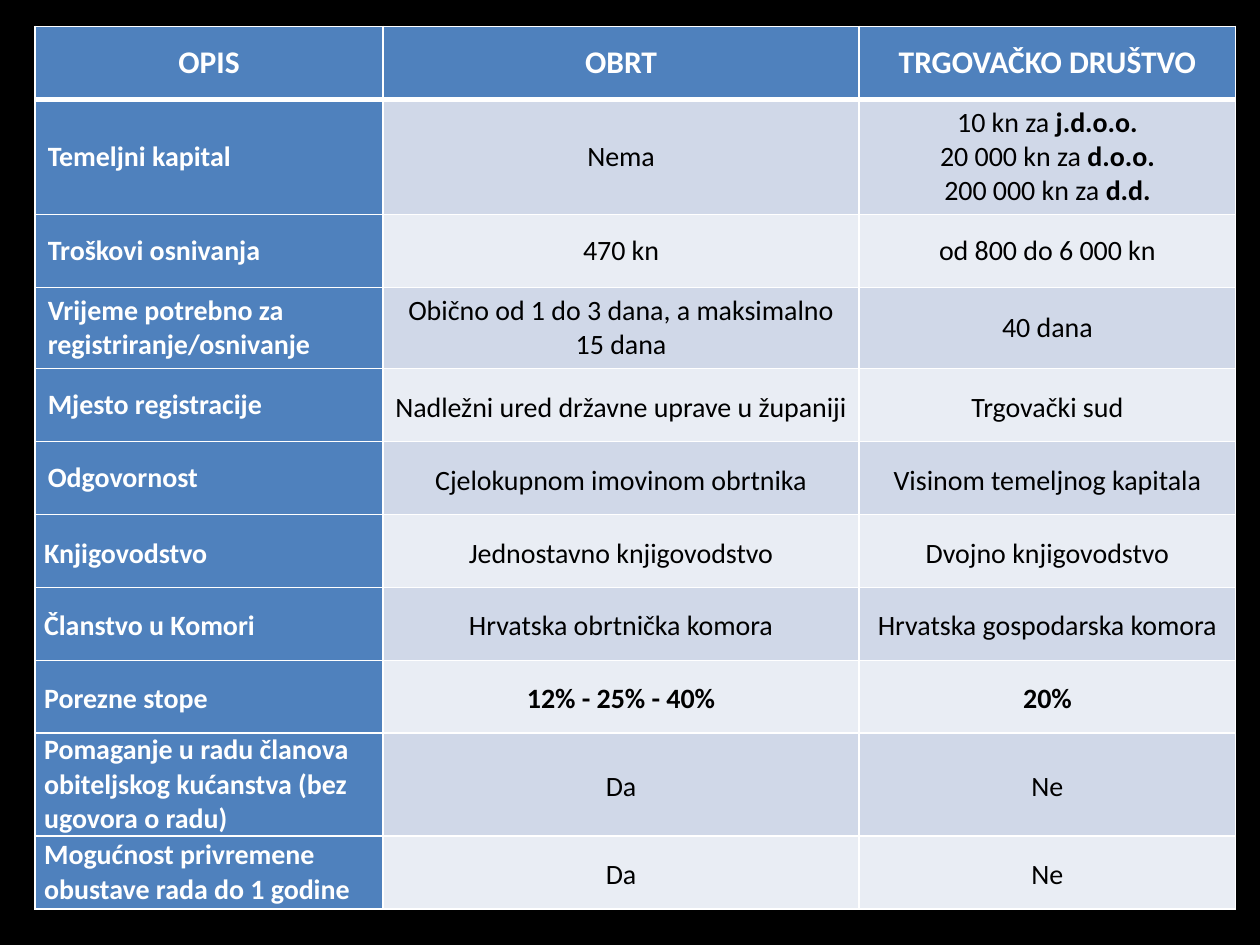
from lxml import etree
from pptx import Presentation
from pptx import util as u
from pptx.dml.color import RGBColor
from pptx.enum import text
from pptx.oxml.ns import qn

COLORS = {"back": "000000", "head": "4F81BD", "odd": "D0D8E8", "even": "E9EDF4",
          "light": "FFFFFF", "dark": "000000"}
COLUMNS = (7.01, 9.6, 7.59)
ROW_HEIGHT = 1.47
ROWS = [
    ("OPIS", "OBRT", "TRGOVAČKO DRUŠTVO"),
    ("Temeljni kapital", "Nema",
     "10 kn za **j.d.o.o.**\n20 000 kn za **d.o.o.**\n200 000 kn za **d.d.**"),
    ("Troškovi osnivanja", "470 kn", "od 800 do 6 000 kn"),
    ("Vrijeme potrebno za registriranje/osnivanje",
     "Obično od 1 do 3 dana, a maksimalno 15 dana", "40 dana"),
    ("Mjesto registracije", "Nadležni ured državne uprave u županiji", "Trgovački sud"),
    ("Odgovornost", "Cjelokupnom imovinom obrtnika", "Visinom temeljnog kapitala"),
    ("Knjigovodstvo", "Jednostavno knjigovodstvo", "Dvojno knjigovodstvo"),
    ("Članstvo u Komori", "Hrvatska obrtnička komora", "Hrvatska gospodarska komora"),
    ("Porezne stope", "**12% - 25% - 40%**", "**20%**"),
    ("Pomaganje u radu članova obiteljskog kućanstva (bez ugovora o radu)", "Da", "Ne"),
    ("Mogućnost privremene obustave rada do 1 godine", "Da", "Ne"),
]


def rgb(name):
    """Return the named colour."""
    return RGBColor.from_string(COLORS[name])


def write(tf, content, size=16, color="dark", bold=False, align=None, spacing=None, after=None):
    """Write text with line breaks and **bold** parts into a text frame."""
    p = tf.paragraphs[0]
    p.alignment = align
    p.line_spacing = spacing
    p.space_after = None if after is None else u.Pt(after)
    for n, line in enumerate(content.split("\n")):
        if n:
            p.add_line_break()
        for k, part in enumerate(line.split("**")):
            if part:
                r = p.add_run()
                r.text = part
                r.font.name = "Calibri"
                r.font.size = u.Pt(size)
                r.font.bold = bold or k % 2 == 1
                r.font.color.rgb = rgb(color)


def set_borders(cell, **widths):
    """Draw white cell borders, one point wide unless a side says otherwise."""
    tc_pr = cell._tc.get_or_add_tcPr()
    for n, side in enumerate("LRTB"):
        ln = etree.Element(qn("a:ln" + side), w=str(u.Pt(widths.get(side, 1))))
        fill = etree.SubElement(ln, qn("a:solidFill"))
        etree.SubElement(fill, qn("a:srgbClr"), val=COLORS["light"])
        tc_pr.insert(n, ln)


def format_cell(cell, content, row, col):
    """Fill one cell according to its row and column."""
    heading = row == 0 or col == 0
    compact = row >= (6 if col == 0 else 4)
    cell.fill.solid()
    cell.fill.fore_color.rgb = rgb("head" if heading else "odd" if row % 2 else "even")
    cell.vertical_anchor = text.MSO_ANCHOR.MIDDLE
    if compact:
        cell.margin_left = cell.margin_right = u.Cm(0.18)
        cell.margin_top = cell.margin_bottom = 0
    write(cell.text_frame, content,
          size=18 if row == 0 else 16,
          color="light" if heading else "dark",
          bold=heading,
          align=text.PP_ALIGN.CENTER if row == 0 or col else text.PP_ALIGN.LEFT,
          spacing=1.15 if compact and (col or row < 9) else None,
          after=10 if compact else None)
    set_borders(cell, **({"B": 3} if row == 0 else {"T": 3} if row == 1 else {}))


def comparison_table(s, left, top):
    """Place the comparison table with its corner at left, top."""
    sp = s.shapes.add_table(len(ROWS), len(COLUMNS), u.Cm(left), u.Cm(top),
                            u.Cm(sum(COLUMNS)), u.Cm(ROW_HEIGHT * len(ROWS)))
    table = sp.table
    table.first_row = table.horz_banding = False
    for column, width in zip(table.columns, COLUMNS):
        column.width = u.Cm(width)
    for row, contents in enumerate(ROWS):
        table.rows[row].height = u.Cm(ROW_HEIGHT)
        for col, content in enumerate(contents):
            format_cell(table.cell(row, col), content, row, col)


def main():
    """Build and save the slide."""
    prs = Presentation()
    prs.slide_width, prs.slide_height = u.Cm(25.4), u.Cm(19.05)
    s = prs.slides.add_slide(prs.slide_layouts[6])
    s.background.fill.solid()
    s.background.fill.fore_color.rgb = rgb("back")
    comparison_table(s, 0.71, 0.53)
    prs.save("out.pptx")


main()
